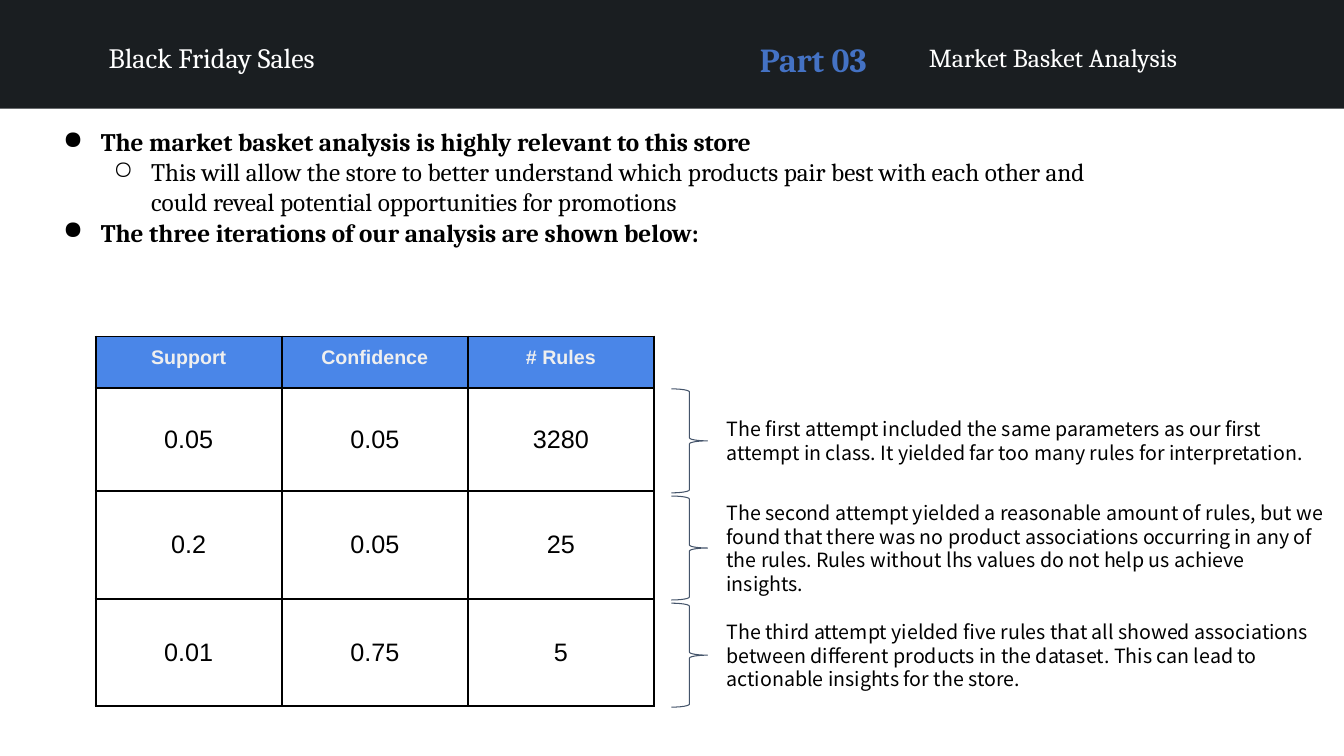
from dataclasses import dataclass

from lxml.etree import SubElement
from pptx import Presentation
from pptx.dml.color import RGBColor
from pptx.enum.shapes import MSO_SHAPE
from pptx.enum.text import MSO_ANCHOR, MSO_AUTO_SIZE, PP_ALIGN
from pptx.oxml.ns import qn
from pptx.shapes.autoshape import Shape
from pptx.slide import Slide
from pptx.table import _Cell
from pptx.text.text import TextFrame, _Paragraph
from pptx.util import Cm, Pt

BLACK = RGBColor(0x00, 0x00, 0x00)
WHITE = RGBColor(0xFF, 0xFF, 0xFF)
CHARCOAL = RGBColor(0x1A, 0x1E, 0x21)
PART_BLUE = RGBColor(0x44, 0x72, 0xC4)
HEADER_BLUE = RGBColor(0x4A, 0x86, 0xE8)
HEADER_TEXT = RGBColor(0xEF, 0xEF, 0xEF)
BRACE_SLATE = RGBColor(0x44, 0x54, 0x6A)


@dataclass(frozen=True)
class Style:
    font: str
    size: float
    color: RGBColor = BLACK
    bold: bool = False


@dataclass(frozen=True)
class Box:
    left: float
    top: float
    width: float
    height: float

    def emu(self) -> tuple[Cm, Cm, Cm, Cm]:
        return Cm(self.left), Cm(self.top), Cm(self.width), Cm(self.height)


@dataclass(frozen=True)
class Point:
    text: str
    level: int = 0


@dataclass(frozen=True)
class Iteration:
    support: str
    confidence: str
    rules: str
    row_height: float
    note: str
    note_height: float


POINTS = [
    Point("The market basket analysis is highly relevant to this store"),
    Point("This will allow the store to better understand which products pair best "
          "with each other and could reveal potential opportunities for promotions", 1),
    Point("The three iterations of our analysis are shown below:"),
]
ITERATIONS = [
    Iteration("0.05", "0.05", "3280", 2.6,
              "The first attempt included the same parameters as our first attempt in "
              "class. It yielded far too many rules for interpretation.", 1.37),
    Iteration("0.2", "0.05", "25", 2.71,
              "The second attempt yielded a reasonable amount of rules, but we found "
              "that there was no product associations occurring in any of the rules. "
              "Rules without lhs values do not help us achieve insights.", 1.98),
    Iteration("0.01", "0.75", "5", 2.71,
              "The third attempt yielded five rules that all showed associations between "
              "different products in the dataset. This can lead to actionable insights "
              "for the store.", 1.98),
]
COLUMNS = ["Support", "Confidence", "# Rules"]
COLUMN_WIDTH, HEADER_HEIGHT = 4.69, 1.3
BRACE_TOP, BRACE_PITCH, BRACE_HEIGHT = 9.8, 2.7, 2.62


def write(paragraph: _Paragraph, text: str, style: Style) -> None:
    run = paragraph.add_run()
    run.text = text
    run.font.name = style.font
    run.font.size = Pt(style.size)
    run.font.bold = style.bold
    run.font.color.rgb = style.color


def set_frame(frame: TextFrame, anchor: MSO_ANCHOR, vertical_inset: float) -> None:
    frame.word_wrap = True
    frame.auto_size = MSO_AUTO_SIZE.NONE
    frame.vertical_anchor = anchor
    frame.margin_left = frame.margin_right = Cm(0.25)
    frame.margin_top = frame.margin_bottom = Cm(vertical_inset)


def add_plain_shape(slide: Slide, kind: MSO_SHAPE, box: Box) -> Shape:
    shape = slide.shapes.add_shape(kind, *box.emu())
    shape.shadow.inherit = False
    shape.line.fill.background()
    return shape


def fill_label(label: Shape, text: str, style: Style, spacing: float,
               align: PP_ALIGN = PP_ALIGN.LEFT) -> None:
    set_frame(label.text_frame, MSO_ANCHOR.MIDDLE, 0.13)
    paragraph = label.text_frame.paragraphs[0]
    paragraph.alignment = align
    paragraph.line_spacing = spacing
    write(paragraph, text, style)


def add_header(slide: Slide) -> None:
    title = slide.shapes.title
    band = add_plain_shape(slide, MSO_SHAPE.RECTANGLE, Box(0, 0, 33.87, 2.74))
    band.fill.solid()
    band.fill.fore_color.rgb = CHARCOAL
    title.element.addprevious(band.element)

    title.left, title.top, title.width, title.height = Box(23.16, 0.56, 9.91, 1.35).emu()
    fill_label(title, "Market Basket Analysis", Style("Cambria", 18.5, WHITE), 1.5)
    part = slide.shapes.add_textbox(*Box(18.31, 0.56, 4.37, 1.35).emu())
    fill_label(part, "Part 03", Style("Cambria", 24, PART_BLUE, True), 1.5, PP_ALIGN.CENTER)
    project = slide.shapes.add_textbox(*Box(2.49, 0.61, 6.6, 1.35).emu())
    fill_label(project, "Black Friday Sales", Style("Cambria", 20, WHITE), 1.4)


def add_bullet(paragraph: _Paragraph, level: int) -> None:
    paragraph.level = level
    properties = paragraph._p.get_or_add_pPr()
    properties.set("marL", str(Cm(1.27 * (level + 1))))
    properties.set("indent", str(Cm(-0.95)))
    color = SubElement(properties, qn("a:buClr"))
    SubElement(color, qn("a:srgbClr"), val=str(BLACK))
    SubElement(properties, qn("a:buChar"), char="●○"[level])


def add_points(slide: Slide) -> None:
    panel = add_plain_shape(slide, MSO_SHAPE.RECTANGLE, Box(1.02, 3.05, 27.81, 3.51))
    panel.fill.solid()
    panel.fill.fore_color.rgb = WHITE
    frame = panel.text_frame
    set_frame(frame, MSO_ANCHOR.TOP, 0.13)
    for index, point in enumerate(POINTS):
        paragraph = frame.add_paragraph() if index else frame.paragraphs[0]
        paragraph.alignment = PP_ALIGN.LEFT
        add_bullet(paragraph, point.level)
        write(paragraph, point.text, Style("Cambria", 18, bold=point.level == 0))


def add_borders(cell: _Cell) -> None:
    """Put black borders ahead of the fill, as the schema orders them."""
    properties = cell._tc.get_or_add_tcPr()
    for index, side in enumerate(("lnL", "lnR", "lnT", "lnB")):
        border = SubElement(properties, qn(f"a:{side}"), w=str(Pt(1.5)))
        SubElement(SubElement(border, qn("a:solidFill")), qn("a:srgbClr"), val=str(BLACK))
        properties.insert(index, border)


def add_rules_table(slide: Slide) -> None:
    heights = [HEADER_HEIGHT] + [item.row_height for item in ITERATIONS]
    rows = [COLUMNS] + [[item.support, item.confidence, item.rules] for item in ITERATIONS]
    box = Box(2.41, 8.48, COLUMN_WIDTH * len(COLUMNS), sum(heights))
    table = slide.shapes.add_table(len(rows), len(COLUMNS), *box.emu()).table
    table.first_row = table.horz_banding = False
    for column in table.columns:
        column.width = Cm(COLUMN_WIDTH)
    for r, (height, values) in enumerate(zip(heights, rows)):
        table.rows[r].height = Cm(height)
        for c, value in enumerate(values):
            cell = table.cell(r, c)
            cell.margin_left = cell.margin_right = Cm(0.25)
            cell.margin_top = cell.margin_bottom = Cm(0.25)
            if r == 0:
                style = Style("Arial", 14, HEADER_TEXT, True)
                cell.fill.solid()
                cell.fill.fore_color.rgb = HEADER_BLUE
            else:
                style = Style("Arial", 18)
                cell.vertical_anchor = MSO_ANCHOR.MIDDLE
                cell.fill.background()
            add_borders(cell)
            paragraph = cell.text_frame.paragraphs[0]
            paragraph.alignment = PP_ALIGN.CENTER
            write(paragraph, value, style)


def add_notes_beside_table(slide: Slide) -> None:
    for index, item in enumerate(ITERATIONS):
        top = BRACE_TOP + index * BRACE_PITCH
        brace = add_plain_shape(slide, MSO_SHAPE.RIGHT_BRACE, Box(16.92, top, 0.91, BRACE_HEIGHT))
        brace.fill.background()
        brace.line.color.rgb = BRACE_SLATE
        brace.line.width = Pt(0.75)
        note_top = top + (BRACE_HEIGHT - item.note_height) / 2
        note = slide.shapes.add_textbox(*Box(18.06, note_top, 15.62, item.note_height).emu())
        set_frame(note.text_frame, MSO_ANCHOR.MIDDLE, 0.25)
        write(note.text_frame.paragraphs[0], item.note, Style("Noto Sans CJK KR", 14))


def main() -> None:
    deck = Presentation()
    deck.slide_width, deck.slide_height = Cm(33.87), Cm(19.05)
    slide = deck.slides.add_slide(deck.slide_layouts[5])
    add_header(slide)
    add_points(slide)
    add_rules_table(slide)
    add_notes_beside_table(slide)
    deck.save("out.pptx")


if __name__ == "__main__":
    main()
